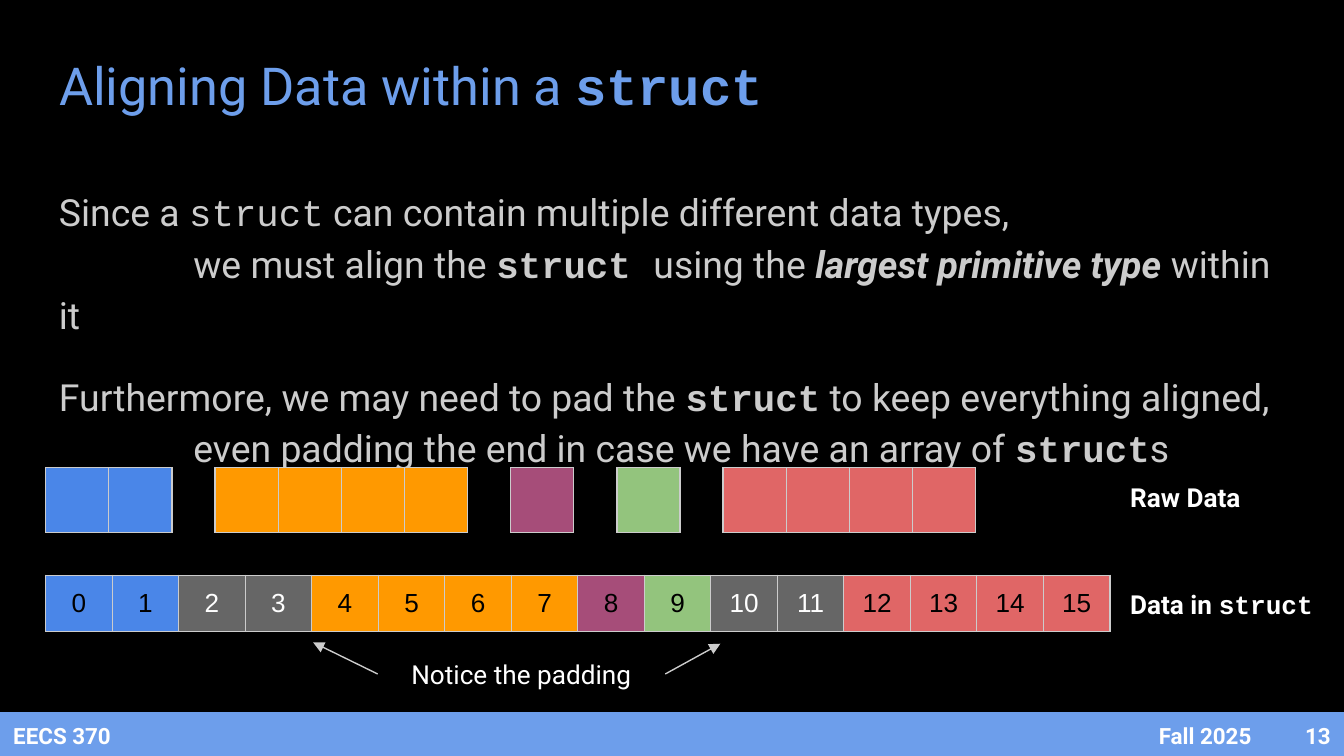
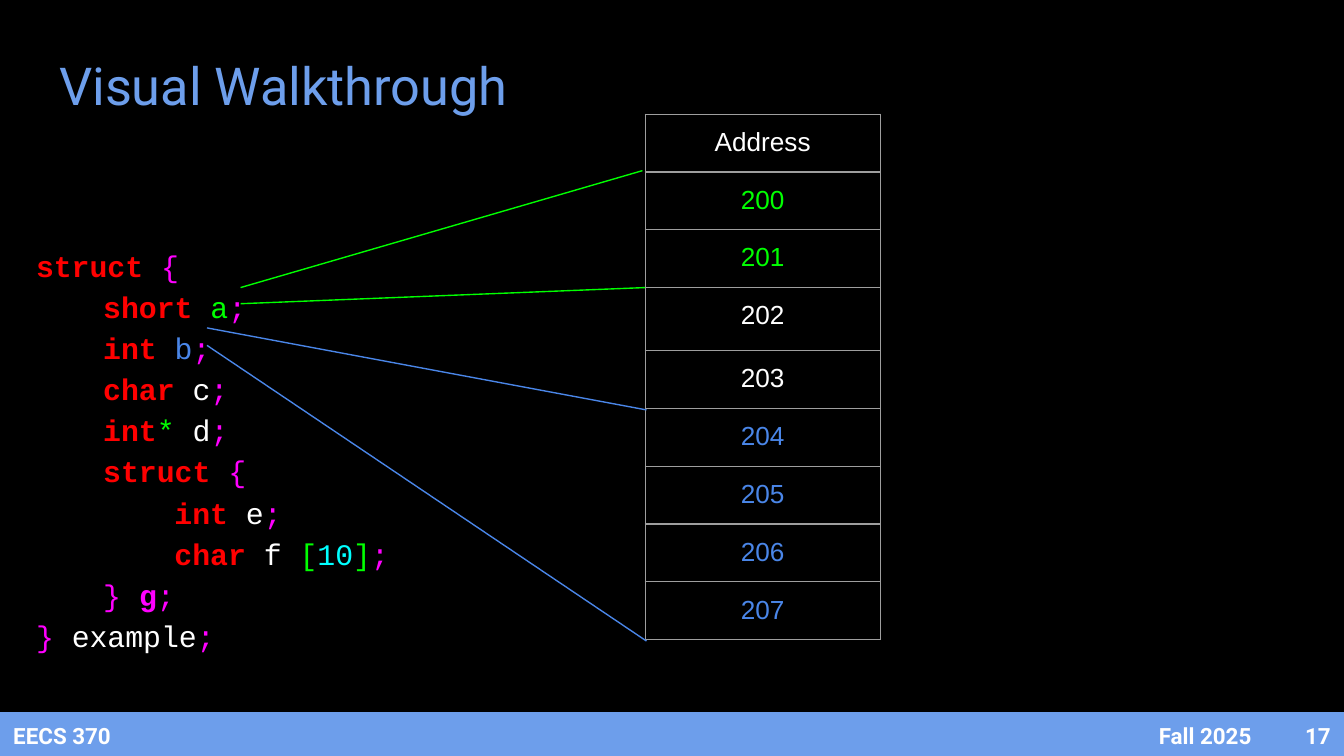
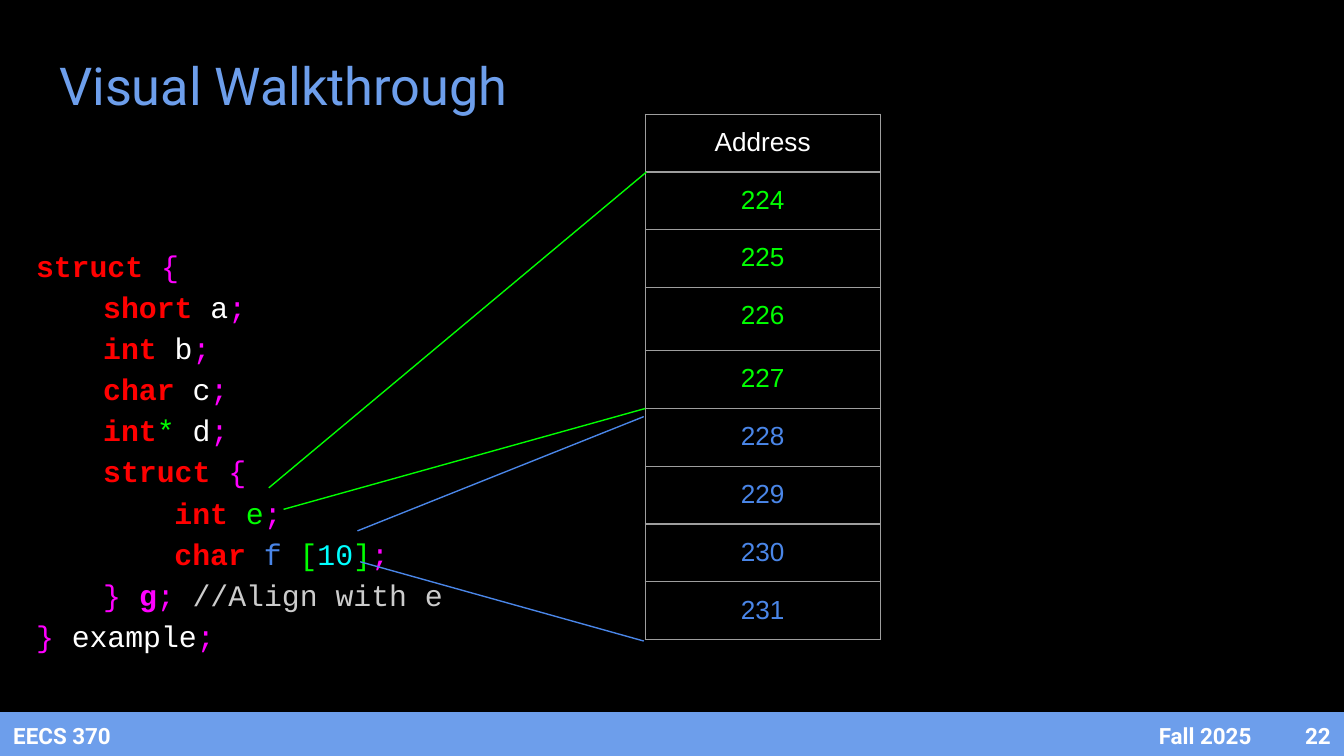
"""Build three slides on how data is aligned inside a struct."""
import pptx
import pptx.util
import pptx.dml.color
import pptx.enum.shapes
import pptx.enum.text
import pptx.oxml.ns
from lxml import etree

Inches, Pt = pptx.util.Inches, pptx.util.Pt
ALIGN = pptx.enum.text.PP_ALIGN
ANCHOR = pptx.enum.text.MSO_ANCHOR
STRAIGHT = pptx.enum.shapes.MSO_CONNECTOR.STRAIGHT
qn = pptx.oxml.ns.qn

BLACK, WHITE, LIGHT, BORDER = "000000", "FFFFFF", "CCCCCC", "9E9E9E"
BAND, PAD, BLUE, ORANGE = "6D9EEB", "666666", "4A86E8", "FF9900"
PLUM, LEAF, CORAL = "A64D79", "93C47D", "E06666"
RED, GREEN, CYAN, MAGENTA = "FF0000", "00FF00", "00FFFF", "FF00FF"
SANS, MONO, PLAIN = "Roboto", "Courier New", "Arial"

CODE = {"font": MONO}
BOLD_CODE = {"font": MONO, "bold": True}
ALIGN_TITLE = [("Aligning Data within a ", {}), ("struct", BOLD_CODE)]
ALIGN_BODY = [
    [("Since a ", {}), ("struct", CODE),
     (" can contain multiple different data types,\n\twe must align the ", {}),
     ("struct ", BOLD_CODE), ("using the", {}),
     (" largest primitive type", {"bold": True, "italic": True}), (" within it", {})],
    [("Furthermore, we may need to pad the ", {}), ("struct", BOLD_CODE),
     (" to keep everything aligned,\n\teven padding the end in case we have an array of ", {}),
     ("struct", BOLD_CODE), ("s", {})],
]
RAW_DATA = [(BLUE, 2), (ORANGE, 4), (PLUM, 1), (LEAF, 1), (CORAL, 4)]
STRUCT_DATA = [(BLUE, 2), (PAD, 2), (ORANGE, 4), (PLUM, 1), (LEAF, 1), (PAD, 2), (CORAL, 4)]
ROW_LABELS = [(3.48, [("Raw Data", {})]), (4.28, [("Data in ", {}), ("struct", CODE)])]

KEYWORDS = ("struct", "short", "int", "char")
TOKEN_COLOURS = {"*": GREEN, "[": GREEN, "]": GREEN, "10": CYAN,
                 "{": MAGENTA, "}": MAGENTA, ";": MAGENTA, "g": MAGENTA}
CODE_LINES = [
    (0, ["struct ", "{"]),
    (0.5, ["short ", "a", ";"]),
    (0.5, ["int ", "b", ";"]),
    (0.5, ["char ", "c", ";"]),
    (0.5, ["int", "*", " d", ";"]),
    (0.5, ["struct ", "{"]),
    (1.03, ["int ", "e", ";"]),
    (1.03, ["char ", "f ", "[", "10", "]", ";"]),
    (0.5, ["} ", "g", ";"]),
    (0, ["} ", "example", ";"]),
]
WALKTHROUGHS = [
    {"number": 17, "width": 2.94, "height": 3.05, "marked": {"a": GREEN, "b": BLUE}, "comments": {},
     "first": 200, "groups": [(GREEN, 2), (WHITE, 2), (BLUE, 4)],
     "lines": [(GREEN, 1.79, 2.26, 4.8, 2.14), (GREEN, 1.79, 2.14, 4.78, 1.27),
               (BLUE, 1.54, 2.44, 4.81, 3.05), (BLUE, 1.54, 2.57, 4.81, 4.77)]},
    {"number": 22, "width": 3.83, "height": 2.88, "marked": {"e": GREEN, "f": BLUE},
     "comments": {8: " //Align with e"},
     "first": 224, "groups": [(GREEN, 4), (BLUE, 4)],
     "lines": [(GREEN, 2.11, 3.79, 4.8, 3.04), (GREEN, 2, 3.63, 4.81, 1.28),
               (BLUE, 2.66, 3.95, 4.79, 3.1), (BLUE, 2.68, 4.18, 4.79, 4.77)]},
]


def rgb(colour):
    """Turn a hex string into a colour."""
    return pptx.dml.color.RGBColor.from_string(colour)


def expand(groups):
    """List one colour for each item of the groups."""
    return [colour for colour, count in groups for _ in range(count)]


def write(p, text, size=14, font=SANS, colour=WHITE, bold=False, italic=False):
    """Add formatted text to a paragraph, with line breaks at newlines."""
    for i, part in enumerate(text.split("\n")):
        if i:
            p.add_line_break()
        r = p.add_run()
        r.text = part
        r.font.size, r.font.name = Pt(size), font
        r.font.bold, r.font.italic = bold, italic
        r.font.color.rgb = rgb(colour)


def fill_frame(tf, paragraphs, align=ALIGN.LEFT, anchor=ANCHOR.TOP, **style):
    """Fill a text frame with paragraphs made of (text, format) runs."""
    tf.word_wrap, tf.vertical_anchor = True, anchor
    tf.auto_size = pptx.enum.text.MSO_AUTO_SIZE.NONE
    tf.margin_left = tf.margin_right = tf.margin_top = tf.margin_bottom = Inches(0.1)
    for i, runs in enumerate(paragraphs):
        p = tf.add_paragraph() if i else tf.paragraphs[0]
        p.alignment = align
        for text, fmt in runs:
            write(p, text, **{**style, **fmt})


def add_text(s, at, paragraphs, **style):
    """Add a text box."""
    sp = s.shapes.add_textbox(*map(Inches, at))
    fill_frame(sp.text_frame, paragraphs, **style)
    return sp


def add_line(s, colour, x1, y1, x2, y2, arrow=False):
    """Add a thin straight connector."""
    line = s.shapes.add_connector(STRAIGHT, *map(Inches, (x1, y1, x2, y2)))
    line.line.color.rgb, line.line.width = rgb(colour), Pt(0.75)
    if arrow:
        etree.SubElement(line.line._get_or_add_ln(), qn("a:tailEnd"), type="triangle")
    etree.SubElement(line._element.spPr, qn("a:effectLst"))
    return line


def format_cell(cell, text, colour, fill, border):
    """Set the text, fill and borders of a cell."""
    cell.margin_left = cell.margin_right = cell.margin_top = cell.margin_bottom = Inches(0.1)
    p = cell.text_frame.paragraphs[0]
    p.alignment = ALIGN.CENTER
    if text:
        write(p, text, font=PLAIN, colour=colour)
    else:
        end = etree.SubElement(p._p, qn("a:endParaRPr"), sz="1800")
        etree.SubElement(end, qn("a:latin"), typeface=PLAIN)
    for side in ("lnL", "lnR", "lnT", "lnB"):
        ln = etree.SubElement(cell._tc.get_or_add_tcPr(), qn("a:" + side), w=str(Pt(0.75)))
        solid = etree.SubElement(ln, qn("a:solidFill"))
        etree.SubElement(solid, qn("a:srgbClr"), val=border)
    if fill:
        cell.fill.solid()
        cell.fill.fore_color.rgb = rgb(fill)
    else:
        cell.fill.background()


def add_grid(s, left, top, widths, heights, cells, border):
    """Add a table whose (text, colour, fill) cells run row by row."""
    size = Inches(sum(widths)), Inches(sum(heights))
    table = s.shapes.add_table(len(heights), len(widths), Inches(left), Inches(top), *size).table
    table.first_row = table.horz_banding = False
    for column, width in zip(table.columns, widths):
        column.width = Inches(width)
    for row, height in zip(table.rows, heights):
        row.height = Inches(height)
    for cell, content in zip(table.iter_cells(), cells):
        format_cell(cell, *content, border)


def start_slide(prs, title, number):
    """Add a slide with its title and footer band."""
    s = prs.slides.add_slide(prs.slide_layouts[5])
    sp = s.shapes.title
    sp.left, sp.top, sp.width, sp.height = map(Inches, (0.34, 0, 8.1, 1.26))
    fill_frame(sp.text_frame, [title], anchor=ANCHOR.MIDDLE, size=28, colour=BAND)
    band = s.shapes.add_shape(pptx.enum.shapes.MSO_SHAPE.RECTANGLE,
                              *map(Inches, (0, 5.3, 10, 0.34)))
    band.shadow.inherit = False
    band.fill.solid()
    band.fill.fore_color.rgb = rgb(BAND)
    band.line.fill.background()
    for left, width, text, align in [(0, 1.82, "EECS 370", ALIGN.LEFT),
                                     (7.59, 1.82, "Fall 2025", ALIGN.RIGHT),
                                     (9.41, 0.59, str(number), ALIGN.RIGHT)]:
        add_text(s, (left, 5.3, width, 0.34), [[(text, {})]], align=align,
                 anchor=ANCHOR.MIDDLE, size=12, bold=True)
    return s


def build_alignment(prs):
    """Build the slide that compares raw data with padded data."""
    s = start_slide(prs, ALIGN_TITLE, 13)
    body = add_text(s, (0.34, 1.26, 9.32, 1.9), ALIGN_BODY, size=20, colour=LIGHT)
    for i, p in enumerate(body.text_frame.paragraphs):
        p.line_spacing = 1.15
        p.space_before = p.space_after = Pt(16 * i)
        tabs = etree.SubElement(p._p.get_or_add_pPr(), qn("a:tabLst"))
        etree.SubElement(tabs, qn("a:tab"), pos=str(Inches(1)), algn="l")
    left, cell, gap = 0.34, 0.47, 0.32
    for colour, count in RAW_DATA:
        add_grid(s, left, 3.48, [cell] * count, [0.42], [("", WHITE, colour)] * count, LIGHT)
        left += cell * count + gap
    fills = expand(STRUCT_DATA)
    cells = [(str(i), WHITE if fill == PAD else BLACK, fill) for i, fill in enumerate(fills)]
    add_grid(s, 0.34, 4.28, [7.92 / len(cells)] * len(cells), [0.42], cells, LIGHT)
    for top, label in ROW_LABELS:
        add_text(s, (8.31, top, 1.69, 0.43), [label], bold=True)
    note = add_text(s, (2.81, 4.8, 2.14, 0.43), [[("Notice the padding", {})]], align=ALIGN.CENTER)
    for side, x1, x2, y2 in [(3, 4.95, 5.36, 4.79), (1, 2.81, 2.33, 4.78)]:
        add_line(s, LIGHT, x1, 5.02, x2, y2, arrow=True).begin_connect(note, side)


def code_run(token, marked):
    """Pair a code token with its format."""
    name = token.strip()
    if name in KEYWORDS:
        return token, {"colour": RED, "bold": True}
    if name.startswith("//"):
        return token, {"colour": LIGHT}
    colour = marked.get(name, TOKEN_COLOURS.get(name, WHITE))
    return token, {"colour": colour, "bold": name == "g"}


def build_walkthrough(prs, step):
    """Build a slide that ties struct members to their addresses."""
    s = start_slide(prs, [("Visual Walkthrough", {})], step["number"])
    paragraphs = []
    for i, (_, tokens) in enumerate(CODE_LINES):
        comment = [step["comments"][i]] if i in step["comments"] else []
        paragraphs.append([code_run(token, step["marked"]) for token in tokens + comment])
    code = add_text(s, (0.17, 1.7, step["width"], step["height"]), paragraphs, size=16, font=MONO)
    for p, (indent, _) in zip(code.text_frame.paragraphs, CODE_LINES):
        p.line_spacing = 1.15
        pPr = p._p.get_or_add_pPr()
        pPr.set("marL", str(Inches(indent)))
        pPr.set("indent", "0")
    cells = [("Address", WHITE, None)]
    cells += [(str(step["first"] + i), colour, None)
              for i, colour in enumerate(expand(step["groups"]))]
    heights = [0.47 if i == 3 else 0.43 for i in range(len(cells))]
    add_grid(s, 4.8, 0.85, [1.75], heights, cells, BORDER)
    for line in step["lines"]:
        add_line(s, *line)


def main():
    """Build and save the presentation."""
    prs = pptx.Presentation()
    prs.slide_width, prs.slide_height = Inches(10), Inches(5.625)
    fill = prs.slide_master.background.fill
    fill.solid()
    fill.fore_color.rgb = rgb(BLACK)
    build_alignment(prs)
    for step in WALKTHROUGHS:
        build_walkthrough(prs, step)
    prs.save("out.pptx")


if __name__ == "__main__":
    main()
